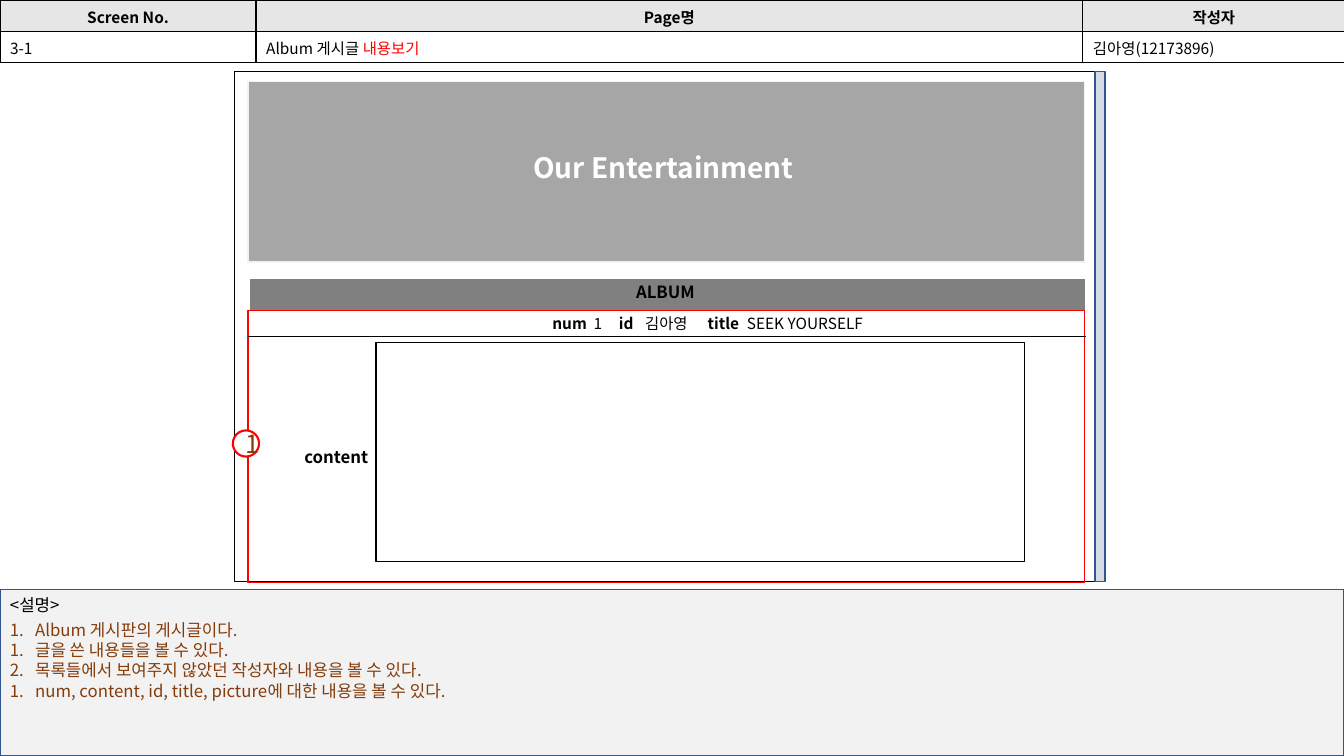
from lxml import etree
from pptx import Presentation, util as u
from pptx.dml.color import RGBColor
from pptx.enum import shapes, text
from pptx.oxml.ns import qn

BLACK = RGBColor(0, 0, 0)
WHITE = RGBColor(255, 255, 255)
RED = RGBColor(255, 0, 0)
BLUE = RGBColor(0x32, 0x54, 0x91)
BROWN = RGBColor(0x84, 0x3C, 0x0B)
PALE = RGBColor(0xF2, 0xF2, 0xF2)
HEAD = RGBColor(0xE7, 0xE6, 0xE6)
SCROLL = RGBColor(0xD6, 0xDC, 0xE5)
BANNER = RGBColor(0xA6, 0xA6, 0xA6)
BAR = RGBColor(0x80, 0x80, 0x80)
CENTER = text.PP_ALIGN.CENTER


def put(par, words, size=12, color=BLACK, bold=False, face="Noto Sans CJK KR"):
    run = par.add_run()
    run.text = words
    font = run.font
    font.size, font.bold, font.name = u.Pt(size), bold, face
    font.color.rgb = color
    etree.SubElement(font._element, qn("a:ea"), typeface=face)


def set_tabs(par, stops):
    tabs = etree.SubElement(par._p.get_or_add_pPr(), qn("a:tabLst"))
    for stop in stops:
        etree.SubElement(tabs, qn("a:tab"), pos=str(u.Inches(stop)), algn="l")


class Page:
    def __init__(self, slide):
        self.shapes = slide.shapes

    def box(self, x, y, w, h, fill=None, line=BLACK, width=1,
            kind=shapes.MSO_SHAPE.RECTANGLE):
        box = self.shapes.add_shape(kind, *map(u.Inches, (x, y, w, h)))
        box.shadow.inherit = False
        if fill is None:
            box.fill.background()
        else:
            box.fill.solid()
            box.fill.fore_color.rgb = fill
        box.line.color.rgb = line
        box.line.width = u.Pt(width)
        return box

    def label(self, x, y, w, h, words="", **style):
        frame = self.shapes.add_textbox(*map(u.Inches, (x, y, w, h))).text_frame
        frame.word_wrap = True
        frame.auto_size = text.MSO_AUTO_SIZE.SHAPE_TO_FIT_TEXT
        if words:
            put(frame.paragraphs[0], words, **style)
        return frame

    def rule(self, x, y, end, width):
        line = self.shapes.add_connector(
            shapes.MSO_CONNECTOR.STRAIGHT, *map(u.Inches, (x, y, end, y)))
        line.line.color.rgb = BLACK
        line.line.width = u.Pt(width)
        etree.SubElement(line._element.spPr, qn("a:effectLst"))

    def border(self, cell):
        props = cell._tc.get_or_add_tcPr()
        for spot, side in enumerate(("lnL", "lnR", "lnT", "lnB")):
            edge = etree.Element(qn("a:" + side), w=str(u.Pt(1)))
            fill = etree.SubElement(edge, qn("a:solidFill"))
            etree.SubElement(fill, qn("a:srgbClr"), val=str(BLACK))
            props.insert(spot, edge)

    def table(self, widths, height, rows):
        size = map(u.Inches, (0, 0, sum(widths), height * len(rows)))
        grid = self.shapes.add_table(len(rows), len(widths), *size).table
        for col, width in zip(grid.columns, widths):
            col.width = u.Inches(width)
        for r, row in enumerate(rows):
            grid.rows[r].height = u.Inches(height)
            for c, runs in enumerate(row):
                cell = grid.cell(r, c)
                cell.fill.solid()
                cell.fill.fore_color.rgb = WHITE if r else HEAD
                par = cell.text_frame.paragraphs[0]
                if r == 0:
                    par.alignment = CENTER
                for words, color in runs:
                    put(par, words, 11, color, bold=r == 0)
                self.border(cell)

    def notes(self, frame, items):
        for i, (start, words) in enumerate(items):
            par = frame.add_paragraph() if i else frame.paragraphs[0]
            props = par._p.get_or_add_pPr()
            props.set("marL", str(u.Inches(0.25)))
            props.set("indent", str(-u.Inches(0.25)))
            if start:
                num = etree.SubElement(props, qn("a:buAutoNum"), type="arabicPeriod")
                if start > 1:
                    num.set("startAt", str(start))
            else:
                etree.SubElement(props, qn("a:buNone"))
                set_tabs(par, [0.25])
            put(par, words, color=BROWN)


def main():
    deck = Presentation()
    deck.slide_width, deck.slide_height = u.Inches(13.33), u.Inches(7.5)
    page = Page(deck.slides.add_slide(deck.slide_layouts[6]))

    page.box(0, 5.85, 13.33, 1.65, PALE, BLUE)
    page.label(0, 5.85, 1.69, 0.3, "<설명>")
    page.box(2.32, 0.71, 8.59, 5.06, WHITE, width=0.25)
    page.box(10.86, 0.71, 0.1, 5.06, SCROLL, BLUE)
    page.notes(page.label(0, 6.1, 7.1, 1.11), [
        (1, "Album 게시판의 게시글이다."),
        (0, "1.\t글을 쓴 내용들을 볼 수 있다."),
        (2, "목록들에서 보여주지 않았던 작성자와 내용을 볼 수 있다."),
        (0, "1.\tnum, content, id, title, picture에 대한 내용을 볼 수 있다."),
    ])
    page.table((2.54, 8.2, 2.6), 0.31, [
        [[("Screen No.", BLACK)], [("Page명", BLACK)], [("작성자", BLACK)]],
        [[("3-1", BLACK)], [("Album 게시글 ", BLACK), ("내용보기", RED)],
         [("김아영(12173896)", BLACK)]],
    ])

    page.box(2.46, 0.81, 8.3, 1.79, BANNER, PALE)
    page.label(5.19, 1.44, 2.85, 0.44, "Our Entertainment",
               size=20, color=WHITE, bold=True)
    page.box(2.47, 2.76, 8.3, 0.32, BAR, WHITE)
    page.label(6.21, 2.75, 0.91, 0.3, "ALBUM", bold=True)

    page.box(2.46, 3.08, 8.3, 2.7, line=RED)
    mark = page.box(2.31, 4.27, 0.26, 0.26, WHITE, RED, 1.5,
                    shapes.MSO_SHAPE.OVAL).text_frame
    mark.vertical_anchor = text.MSO_ANCHOR.MIDDLE
    mark.paragraphs[0].alignment = CENTER
    put(mark.paragraphs[0], "1", 18, BROWN)
    page.rule(2.46, 3.34, 10.77, 0.5)

    post = page.label(5.38, 3.07, 3.47, 0.29).paragraphs[0]
    set_tabs(post, (0.41, 0.66, 0.92, 1.54, 1.93))
    fields = ("num\t", "1\t", "id\t", "김아영\t", "title\t", "SEEK YOURSELF")
    for i, words in enumerate(fields):
        put(post, words, 11, bold=i % 2 == 0)

    page.box(3.73, 3.4, 6.43, 2.17)
    page.label(2.92, 4.38, 0.91, 0.3, "content", bold=True)
    deck.save("out.pptx")


if __name__ == "__main__":
    main()
